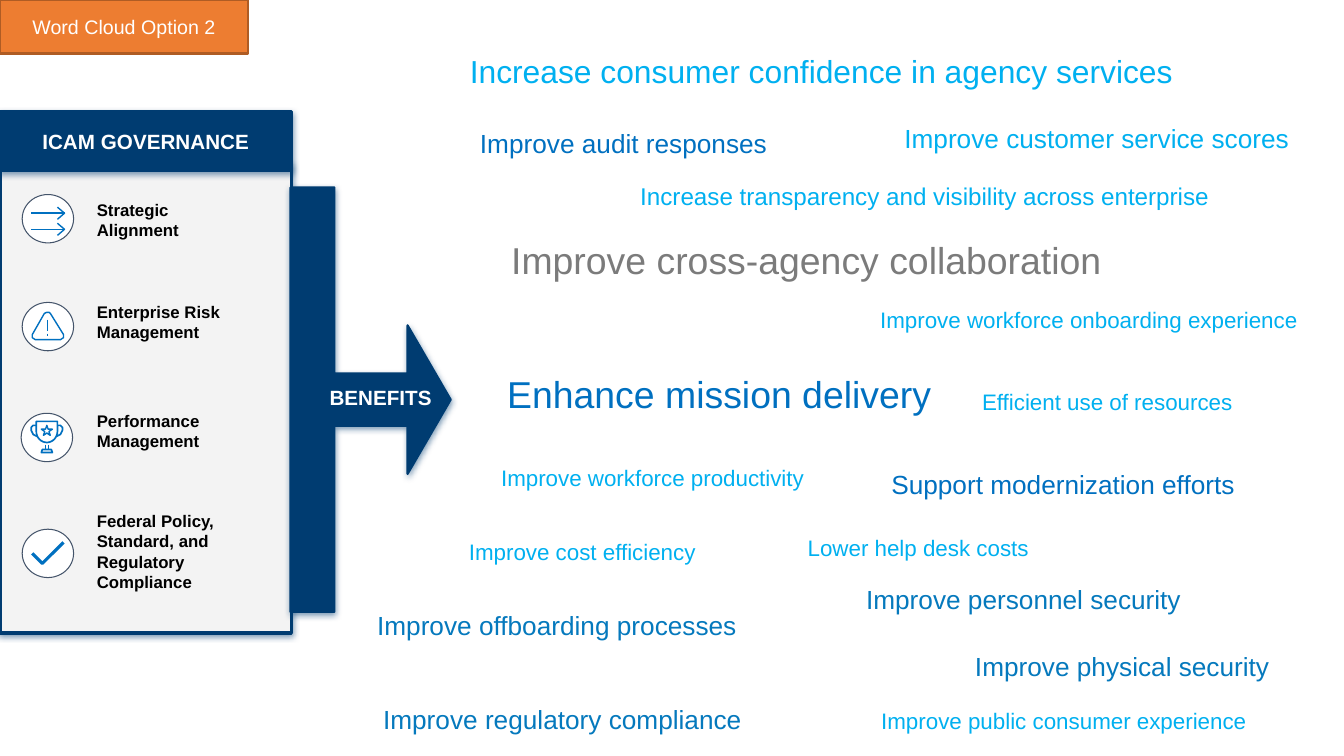
from math import cos, pi, sin

from lxml import etree
from pptx import Presentation
from pptx.dml.color import RGBColor
from pptx.enum.shapes import MSO_CONNECTOR as CONN, MSO_SHAPE as SHAPE
from pptx.enum.text import MSO_ANCHOR as ANCHOR, MSO_AUTO_SIZE as AUTO, PP_ALIGN as ALIGN
from pptx.oxml import parse_xml
from pptx.oxml.ns import nsdecls, qn
from pptx.util import Inches, Pt

NAVY = RGBColor(0x00, 0x3C, 0x71)
BLUE = RGBColor(0x00, 0x70, 0xC0)
MID_BLUE = RGBColor(0x05, 0x79, 0xBD)
SKY = RGBColor(0x00, 0xB0, 0xF0)
GRAY = RGBColor(0x7B, 0x7B, 0x7B)
PALE = RGBColor(0xF3, 0xF3, 0xF3)
SLATE = RGBColor(0x44, 0x54, 0x6A)
ORANGE = RGBColor(0xED, 0x7D, 0x31)
RUST = RGBColor(0xAF, 0x5C, 0x24)
WHITE = RGBColor(0xFF, 0xFF, 0xFF)
BLACK = RGBColor(0x00, 0x00, 0x00)


def paint(shape, fill, line, width):
    shape.shadow.inherit = False
    if fill is None:
        shape.fill.background()
    else:
        shape.fill.solid()
        shape.fill.fore_color.rgb = fill
    shape.line.color.rgb = line
    shape.line.width = Pt(width)


def write(shape, text, size, color, bold=False, centered=False):
    tf = shape.text_frame
    tf.word_wrap = True
    tf.margin_left = tf.margin_right = Inches(0.07)
    tf.margin_top = tf.margin_bottom = Inches(0.04)
    tf.vertical_anchor = ANCHOR.MIDDLE if centered else ANCHOR.TOP
    p = tf.paragraphs[0]
    p.text = text
    p.alignment = ALIGN.CENTER if centered else ALIGN.LEFT
    font = p.runs[0].font
    font.name, font.size, font.bold = "Arial", Pt(size), bold
    font.color.rgb = color


prs = Presentation()
prs.slide_width, prs.slide_height = Inches(13.33), Inches(7.5)
s = prs.slides.add_slide(prs.slide_layouts[6])

cloud = [
    ("Enhance mission delivery", 4.96, 3.64, 6.89, 0.91, 26.7, BLUE),
    ("Improve audit responses", 4.69, 1.22, 4.85, 0.73, 18.7, BLUE),
    ("Improve offboarding processes", 3.67, 6, 4.19, 0.73, 18.7, MID_BLUE),
    ("Support modernization efforts", 8.77, 4.61, 4.55, 0.73, 18.7, BLUE),
    ("Improve personnel security", 8.52, 5.75, 3.94, 0.38, 18.7, MID_BLUE),
    ("Improve physical security", 9.6, 6.41, 3.69, 0.33, 18.7, MID_BLUE),
    ("Improve regulatory compliance", 3.73, 6.94, 4.06, 0.38, 18.7, MID_BLUE),
    ("Improve cross-agency collaboration", 5, 2.31, 6.89, 0.91, 26.7, GRAY),
    ("Increase consumer confidence in agency services", 4.59, 0.47, 8.73, 0.91, 22.7, SKY),
    ("Increase transparency and visibility across enterprise", 6.28, 1.76, 7.04, 0.73, 17.3, SKY),
    ("Improve customer service scores", 8.9, 1.17, 4.43, 0.33, 18.7, SKY),
    ("Improve workforce onboarding experience", 8.66, 3, 4.66, 0.47, 16, SKY),
    ("Improve workforce productivity", 4.9, 4.56, 4, 0.36, 16, SKY),
    ("Improve public consumer experience", 8.67, 6.98, 4.27, 0.34, 16, SKY),
    ("Efficient use of resources", 9.67, 3.81, 3.65, 0.34, 16, SKY),
    ("Lower help desk costs", 7.94, 5.26, 3.65, 0.34, 16, SKY),
    ("Improve cost efficiency", 4.58, 5.3, 3.65, 0.34, 16, SKY),
]
for text, x, y, w, h, size, color in cloud:
    sp = s.shapes.add_textbox(Inches(x), Inches(y), Inches(w), Inches(h))
    write(sp, text, size, color)

panel = s.shapes.add_shape(SHAPE.RECTANGLE, 0, Inches(1.62), Inches(2.89), Inches(4.66))
paint(panel, PALE, NAVY, 2.25)

cup = [(0.36, 4.18)] + [
    (0.465 - 0.105 * cos(pi * i / 16), 4.28 + 0.11 * sin(pi * i / 16)) for i in range(17)
] + [(0.57, 4.18)]
handle = [(0.36, 4.22), (0.33, 4.22), (0.31, 4.24), (0.31, 4.27), (0.33, 4.31), (0.37, 4.33)]
triangle = [(0.44, 3.11), (0.46, 3.1), (0.49, 3.1), (0.5, 3.11), (0.63, 3.32), (0.63, 3.35),
            (0.6, 3.37), (0.35, 3.37), (0.32, 3.35), (0.32, 3.32)]
base = [(0.42, 4.46), (0.51, 4.46), (0.52, 4.49), (0.41, 4.49)]

# label, label top, width, height, circle left, top, outlines (points, closed, weight), lines
governance = [
    ("Strategic Alignment", 1.94, 1.5, 0.48, 0.22, 1.93,
     [([(0.57, y - 0.06), (0.64, y), (0.57, y + 0.06)], False, 1) for y in (2.115, 2.275)],
     [(0.31, y, 0.64, y) for y in (2.115, 2.275)]),
    ("Enterprise Risk Management", 2.95, 1.75, 0.48, 0.22, 3,
     [(triangle, True, 1)],
     [(0.47, 3.17, 0.47, 3.28), (0.47, 3.31, 0.47, 3.33)]),
    ("Performance Management", 4.03, 1.85, 0.48, 0.21, 4.1,
     [(cup, True, 1.2), (handle, False, 1.2),
      ([(0.93 - x, y) for x, y in handle], False, 1.2), (base, True, 1.2)],
     [(x, 4.41, x, 4.46) for x in (0.45, 0.48)]),
    ("Federal Policy, Standard, and Regulatory Compliance", 5.03, 1.5, 0.88, 0.22, 5.25,
     [([(0.32, 5.49), (0.42, 5.59), (0.63, 5.38)], False, 2.25)], []),
]
for text, y, w, h, left, top, outlines, lines in governance:
    sp = s.shapes.add_textbox(Inches(0.89), Inches(y), Inches(w), Inches(h))
    write(sp, text, 12, BLACK, bold=True)
    sp.text_frame.auto_size = AUTO.SHAPE_TO_FIT_TEXT
    icon = s.shapes.add_group_shape().shapes
    circle = icon.add_shape(SHAPE.OVAL, Inches(left), Inches(top), Inches(0.51), Inches(0.48))
    paint(circle, WHITE, SLATE, 0.75)
    for points, closed, weight in outlines:
        points = [(Inches(px), Inches(py)) for px, py in points]
        builder = icon.build_freeform(*points[0], scale=1.0)
        builder.add_line_segments(points[1:], close=closed)
        paint(builder.convert_to_shape(), None, BLUE, weight)
    for ends in lines:
        line = icon.add_connector(CONN.STRAIGHT, *[Inches(v) for v in ends])
        line.line.color.rgb = BLUE
        line.line.width = Pt(1)
        etree.SubElement(line._element.spPr, qn("a:effectLst"))
    if "Performance" in text:
        star = icon.add_shape(SHAPE.STAR_5_POINT, Inches(0.41), Inches(4.22), Inches(0.11), Inches(0.1))
        paint(star, None, BLUE, 1)

header = s.shapes.add_shape(SHAPE.RECTANGLE, 0, Inches(1.11), Inches(2.89), Inches(0.58))
paint(header, NAVY, NAVY, 2.25)
write(header, "ICAM GOVERNANCE", 14.7, WHITE, bold=True, centered=True)

arrow = s.shapes.add_shape(
    SHAPE.RIGHT_ARROW_CALLOUT, Inches(2.88), Inches(1.86), Inches(1.59), Inches(4.21))
for i, value in enumerate((0.326, 0.464, 0.269, 0.275)):
    arrow.adjustments[i] = value
paint(arrow, NAVY, NAVY, 1.5)

for sp in (panel, header, arrow):
    sp._element.spPr.find(qn("a:effectLst")).append(parse_xml(
        f'<a:outerShdw {nsdecls("a")} blurRad="{Pt(4.5)}" dist="{Pt(1.5)}" dir="5400000" '
        f'rotWithShape="0"><a:srgbClr val="{NAVY}"><a:alpha val="49000"/></a:srgbClr></a:outerShdw>'))

benefits = s.shapes.add_textbox(Inches(2.72), Inches(3.63), Inches(2.11), Inches(0.62))
write(benefits, "BENEFITS", 14.7, WHITE, bold=True, centered=True)

tag = s.shapes.add_shape(SHAPE.RECTANGLE, 0, 0, Inches(2.46), Inches(0.53))
paint(tag, ORANGE, RUST, 2)
write(tag, "Word Cloud Option 2", 14, WHITE, centered=True)

prs.save("out.pptx")
